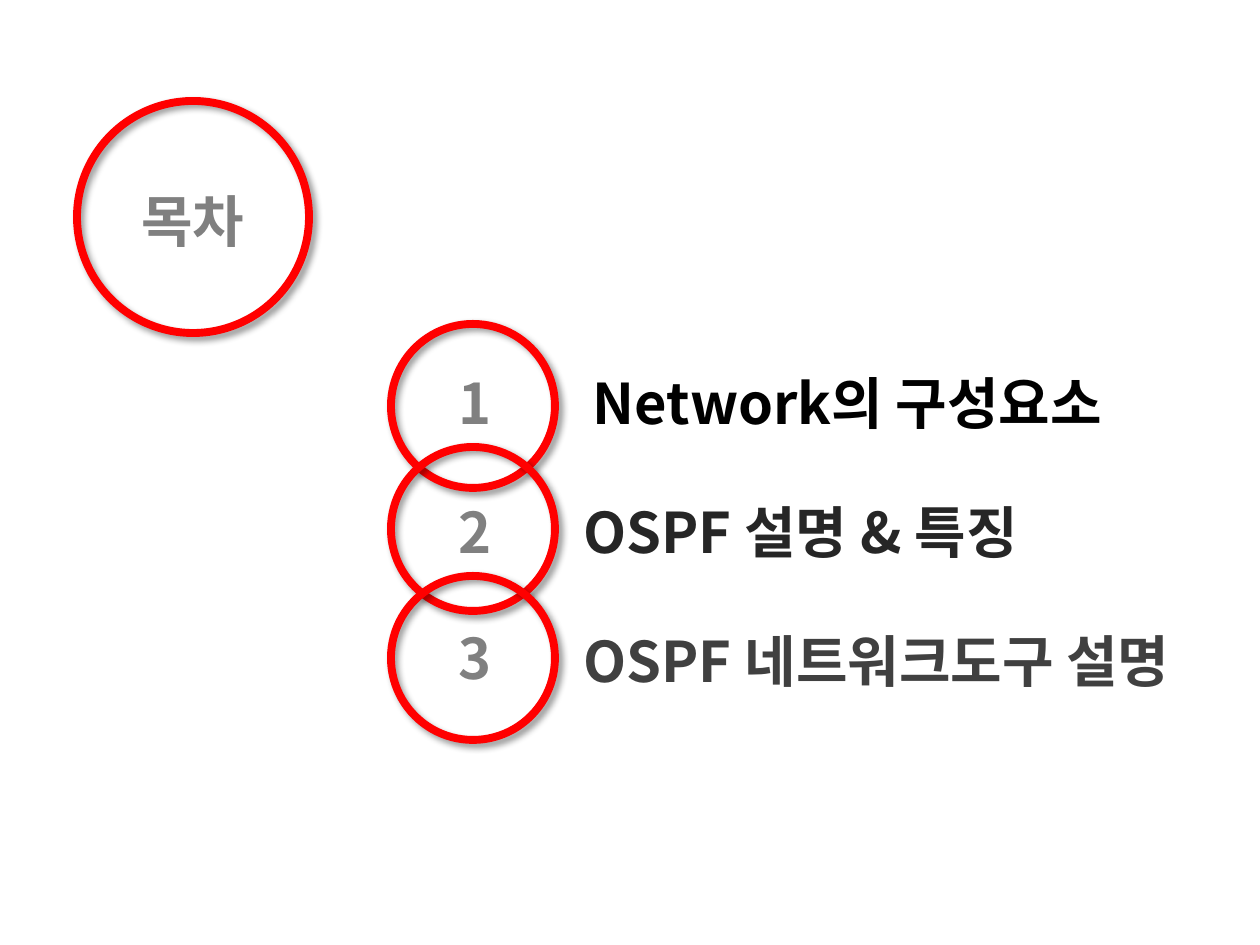
import dataclasses

import lxml.etree
import pptx
import pptx.dml.color
import pptx.enum.shapes
import pptx.enum.text
import pptx.oxml.ns
import pptx.util

PX = pptx.util.Inches(1) / 126
ALIGN = pptx.enum.text.PP_ALIGN


@dataclasses.dataclass(frozen=True)
class Theme:
    font: str = "Noto Sans CJK KR"
    size: int = 32
    ring: str = "FF0000"
    ring_width: float = 4.5
    shadow: str = "000000"
    muted: str = "808080"
    items: tuple = ("000000", "262626", "404040")


THEME = Theme()


def px(n):
    return pptx.util.Emu(round(n * PX))


def rgb(value):
    return pptx.dml.color.RGBColor.from_string(value)


def add_shadow(sp):
    qn = pptx.oxml.ns.qn
    sp.shadow.inherit = False
    effects = sp.element.spPr.find(qn("a:effectLst"))
    shadow = lxml.etree.SubElement(
        effects, qn("a:outerShdw"), blurRad=str(pptx.util.Pt(4)),
        dist=str(pptx.util.Pt(3)), dir=str(45 * 60000), algn="tl", rotWithShape="0")
    color = lxml.etree.SubElement(shadow, qn("a:srgbClr"), val=THEME.shadow)
    lxml.etree.SubElement(color, qn("a:alpha"), val="40000")


def add_ring(shapes, x, y, d):
    sp = shapes.add_shape(pptx.enum.shapes.MSO_SHAPE.OVAL, px(x), px(y), px(d), px(d))
    sp.fill.background()
    sp.line.color.rgb = rgb(THEME.ring)
    sp.line.width = pptx.util.Pt(THEME.ring_width)
    add_shadow(sp)


def add_label(shapes, x, y, w, text, color, align=ALIGN.CENTER):
    tf = shapes.add_textbox(px(x), px(y), px(w), px(81)).text_frame
    tf.word_wrap = True
    tf.auto_size = pptx.enum.text.MSO_AUTO_SIZE.SHAPE_TO_FIT_TEXT
    p = tf.paragraphs[0]
    p.alignment = align
    r = p.add_run()
    r.text = text
    r.font.name = THEME.font
    r.font.size = pptx.util.Pt(THEME.size)
    r.font.bold = True
    r.font.color.rgb = rgb(color)
    ea = lxml.etree.SubElement(r.font._element, pptx.oxml.ns.qn("a:ea"))
    ea.set("typeface", THEME.font)


def add_title(s, x, y, d):
    shapes = s.shapes.add_group_shape().shapes
    add_ring(shapes, x, y, d)
    add_label(shapes, x - 13, y + 79, d + 26, "목차", THEME.muted)


def add_agenda(s, x, y):
    items = [
        (0, 38, 38, 139, 635, "Network의 구성요소", ALIGN.CENTER),
        (123, 167, 167, 180, 605, "OSPF 설명 & 특징", ALIGN.LEFT),
        (252, 293, 296, 180, 674, "OSPF 네트워크도구 설명", ALIGN.LEFT),
    ]
    shapes = s.shapes.add_group_shape().shapes
    for n, (ring_y, number_y, text_y, text_x, w, text, align) in enumerate(items, 1):
        add_ring(shapes, x, y + ring_y, 164)
        add_label(shapes, x + 11, y + number_y, 146, str(n), THEME.muted)
        add_label(s.shapes, x + text_x, y + text_y, w, text, THEME.items[n - 1], align)


def main():
    prs = pptx.Presentation()
    prs.slide_width, prs.slide_height = px(1260), px(945)
    s = prs.slides.add_slide(prs.slide_layouts[6])
    add_title(s, 77, 101, 232)
    add_agenda(s, 391, 324)
    prs.save("out.pptx")


if __name__ == "__main__":
    main()
